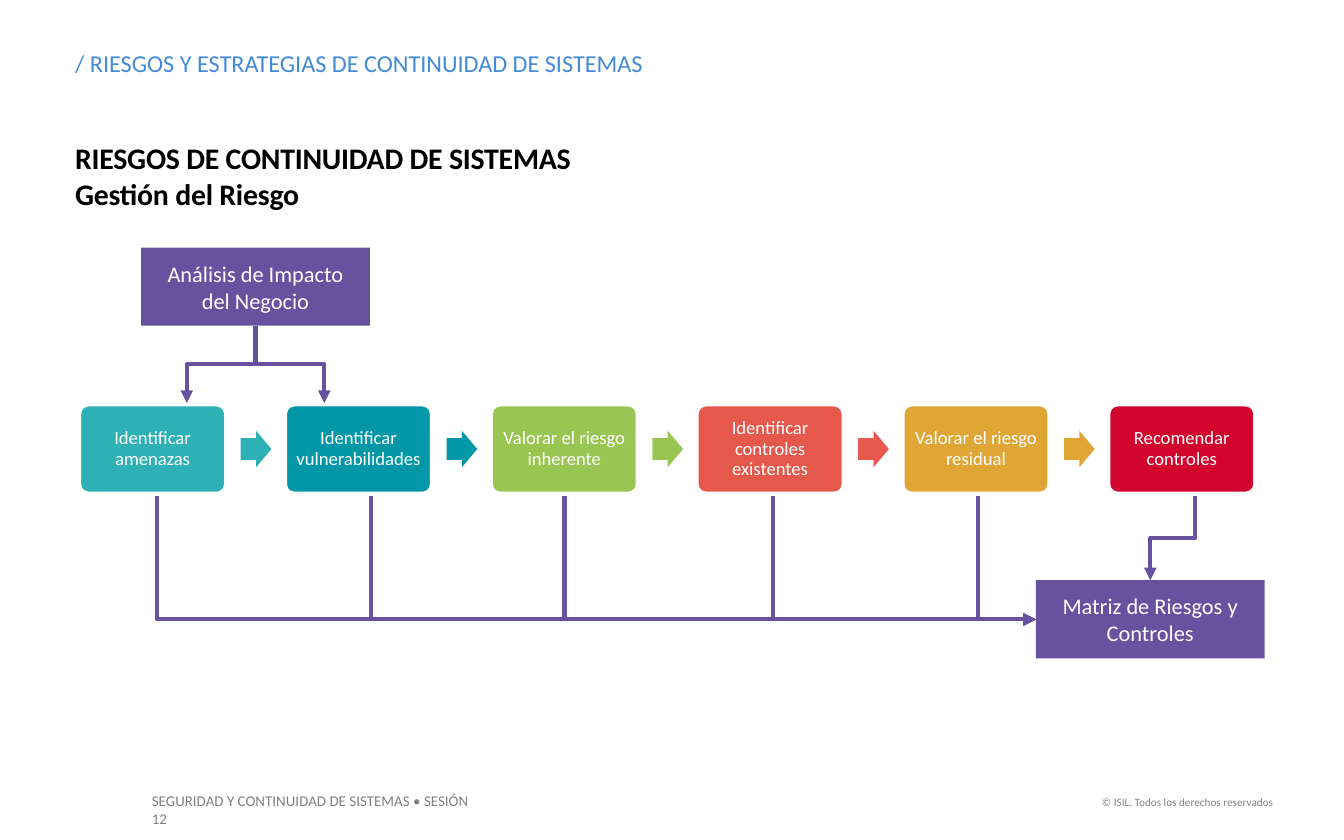
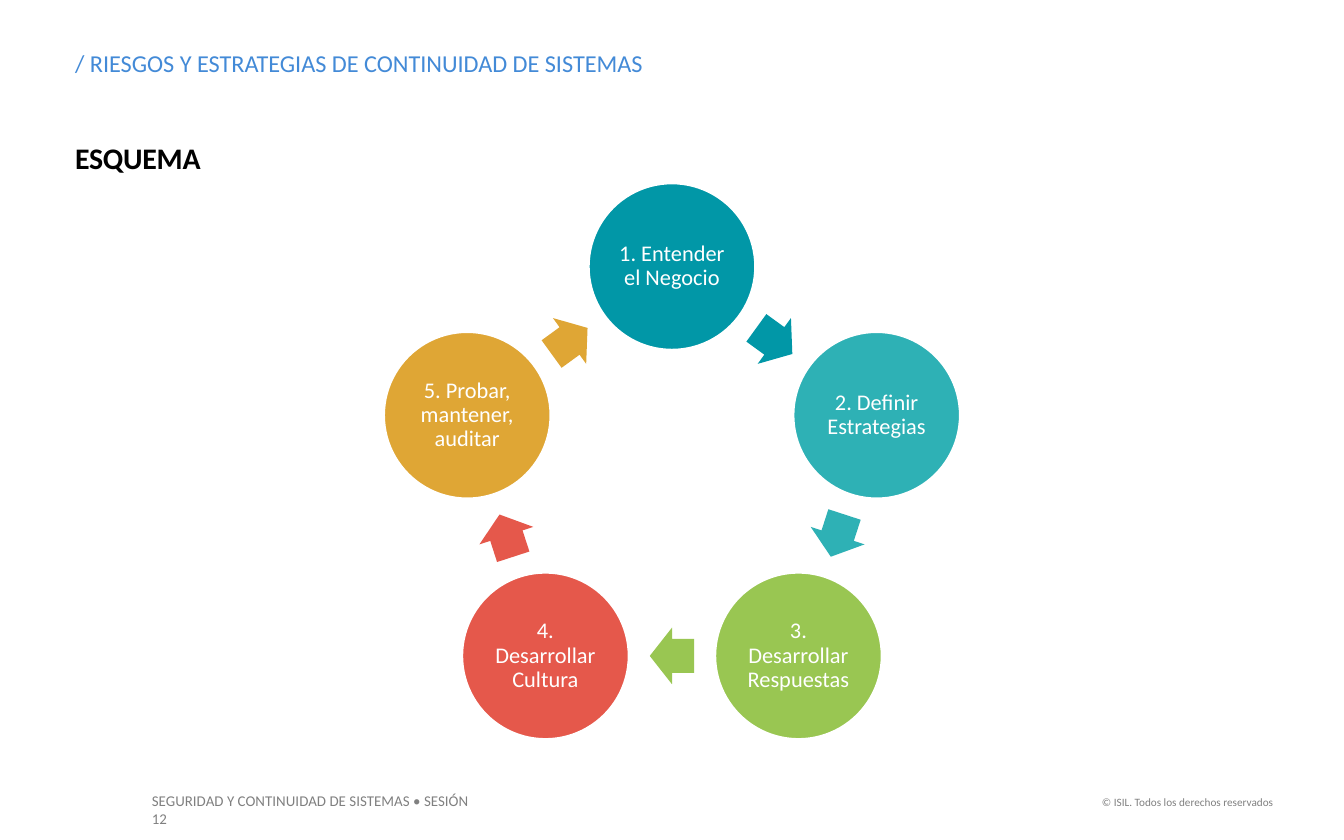
import math

import lxml.etree
import pptx
import pptx.dml.color
import pptx.enum.shapes
import pptx.enum.text
import pptx.oxml.ns
import pptx.util

Cm = pptx.util.Cm
Pt = pptx.util.Pt
SHAPE = pptx.enum.shapes.MSO_SHAPE
ALIGN = pptx.enum.text.PP_ALIGN
ANCHOR = pptx.enum.text.MSO_ANCHOR

FONT = "Calibri"
WHITE, BLACK, GRAY, BLUE = "FFFFFF", "000000", "808080", "438AD7"
PURPLE, AQUA, TEAL, GREEN = "68529F", "2EB1B5", "0197A7", "99C652"
CORAL, GOLD, RED = "E5584B", "DFA635", "D2032C"

SECTION = "/ RIESGOS Y ESTRATEGIAS DE CONTINUIDAD DE SISTEMAS"
COURSE = "SEGURIDAD Y CONTINUIDAD DE SISTEMAS • SESIÓN 12"
RIGHTS = "© ISIL. Todos los derechos reservados"


# Shared helpers; all lengths are centimetres
def color(value):
    return pptx.dml.color.RGBColor.from_string(value)


def write(frame, text, size, ink, align=ALIGN.LEFT, anchor=ANCHOR.TOP,
          margins=(0.25, 0.13), bold=False, spacing=1.0, wrap=True):
    frame.text = text
    frame.word_wrap = wrap
    frame.auto_size = pptx.enum.text.MSO_AUTO_SIZE.NONE
    frame.vertical_anchor = anchor
    frame.margin_left = frame.margin_right = Cm(margins[0])
    frame.margin_top = frame.margin_bottom = Cm(margins[1])
    for paragraph in frame.paragraphs:
        paragraph.alignment = align
        paragraph.line_spacing = spacing
        for run in paragraph.runs:
            run.font.name = FONT
            run.font.size = Pt(size)
            run.font.bold = bold
            run.font.color.rgb = color(ink)


def add_label(slide, box, text, size, ink, **style):
    label = slide.shapes.add_textbox(*map(Cm, box))
    write(label.text_frame, text, size, ink, **style)


def add_block(slide, preset, box, fill, outlined=False, adjustments=()):
    block = slide.shapes.add_shape(preset, *map(Cm, box))
    block.shadow.inherit = False
    block.fill.solid()
    block.fill.fore_color.rgb = color(fill)
    if outlined:
        block.line.color.rgb = color(WHITE)
        block.line.width = Pt(2)
    else:
        block.line.fill.background()
    for index, value in enumerate(adjustments):
        block.adjustments[index] = value
    return block


def add_arrow(slide, box, fill, rotation=0):
    arrow = add_block(slide, SHAPE.RIGHT_ARROW, box, fill, adjustments=(0.6, 0.5))
    arrow.rotation = rotation


def add_elbow(slide, start, end):
    elbow = slide.shapes.add_connector(
        pptx.enum.shapes.MSO_CONNECTOR.ELBOW, *map(Cm, start + end))
    elbow.line.color.rgb = color(PURPLE)
    elbow.line.width = Pt(2.25)
    properties = elbow.element.spPr
    tip = lxml.etree.SubElement(elbow.line._get_or_add_ln(),
                                pptx.oxml.ns.qn("a:tailEnd"))
    tip.set("type", "triangle")
    lxml.etree.SubElement(properties, pptx.oxml.ns.qn("a:effectLst"))
    return properties


def add_step_down(slide, start, end):
    """Elbow that leaves downwards, crosses halfway and arrives downwards."""
    middle_x, middle_y = (start[0] + end[0]) / 2, (start[1] + end[1]) / 2
    half_run, half_drop = abs(end[0] - start[0]) / 2, (end[1] - start[1]) / 2
    to_right = end[0] > start[0]
    reach = half_drop if to_right else -half_drop
    properties = add_elbow(slide, (middle_x + reach, middle_y - half_run),
                           (middle_x - reach, middle_y + half_run))
    properties.xfrm.set("rot", str((270 if to_right else 90) * 60000))


def add_down_then_right(slide, start, end):
    properties = add_elbow(slide, start, end)
    guides = properties.find(pptx.oxml.ns.qn("a:prstGeom")).get_or_add_avLst()
    bend = lxml.etree.SubElement(guides, pptx.oxml.ns.qn("a:gd"))
    bend.set("name", "adj1")
    bend.set("fmla", "val 0")


# Frame common to every slide: section, heading and footers
def add_content_slide(deck, heading, heading_height):
    slide = deck.slides.add_slide(deck.slide_layouts.get_by_name("Title Only"))
    add_label(slide, (2.62, 14.83, 6.7, 0.61), COURSE, 8, GRAY)
    add_label(slide, (20.5, 14.91, 3.81, 0.51), RIGHTS, 6, GRAY,
              align=ALIGN.RIGHT, wrap=False)
    add_label(slide, (1.42, 0.91, 16.76, 0.56), SECTION, 13, BLUE, margins=(0, 0))
    title = slide.shapes.title
    title.left, title.top = Cm(1.42), Cm(2.64)
    title.width, title.height = Cm(22.68), Cm(heading_height)
    write(title.text_frame, heading, 16, BLACK, margins=(0, 0), bold=True)
    for paragraph in title.text_frame.paragraphs:
        for run in paragraph.runs:
            run._r.get_or_add_rPr().set("spc", "-10")
    return slide


# Risk management flow
def add_risk_flow(slide, box):
    left, top, width, height = box
    steps = [("Identificar amenazas", AQUA),
             ("Identificar vulnerabilidades", TEAL),
             ("Valorar el riesgo inherente", GREEN),
             ("Identificar controles existentes", CORAL),
             ("Valorar el riesgo residual", GOLD),
             ("Recomendar controles", RED)]
    step_width, step_height = 2.77, 1.68
    arrow_width, arrow_height = 0.58, 0.69
    step_top = top + 2.97
    pitch = 3.89
    for index, (name, fill) in enumerate(steps):
        x = left + index * pitch
        step = add_block(slide, SHAPE.ROUNDED_RECTANGLE,
                         (x, step_top, step_width, step_height), fill, True, (0.1,))
        write(step.text_frame, name, 10, WHITE, ALIGN.CENTER, ANCHOR.MIDDLE,
              (0.09, 0.09), spacing=0.9)
        if index < len(steps) - 1:
            add_arrow(slide, (x + 3.05, step_top + (step_height - arrow_height) / 2,
                              arrow_width, arrow_height), fill)

    # Input and result of the process
    end_width, end_height = 4.32, 1.48
    impact_left = left + 1.17
    matrix_left, matrix_top = left + width - end_width, top + height - end_height
    for x, y, name in [(impact_left, top, "Análisis de Impacto del Negocio"),
                       (matrix_left, matrix_top, "Matriz de Riesgos y Controles")]:
        stage = add_block(slide, SHAPE.RECTANGLE, (x, y, end_width, end_height), PURPLE)
        write(stage.text_frame, name, 12, WHITE, ALIGN.CENTER, ANCHOR.MIDDLE)

    # Impact analysis feeds the first two steps
    impact_middle = impact_left + end_width / 2
    for shift in (1.3, -1.3):
        add_step_down(slide, (impact_middle, top + end_height),
                      (impact_middle + shift, step_top - 0.03))

    # Every step feeds the matrix
    exit_y = step_top + step_height + 0.05
    for offset in (1.47, 5.51, 9.17, 13.11, 16.99):
        add_down_then_right(slide, (left + offset, exit_y),
                            (matrix_left, matrix_top + end_height / 2))
    add_step_down(slide, (left + 21.08, exit_y),
                  (matrix_left + end_width / 2, matrix_top))


# Continuity cycle
def add_cycle(slide, box):
    left, top, width, height = box
    phases = [("1. Entender el Negocio", TEAL),
              ("2. Definir Estrategias", AQUA),
              ("3. Desarrollar Respuestas", GREEN),
              ("4. Desarrollar Cultura", CORAL),
              ("5. Probar, mantener, auditar", GOLD)]
    diameter, arrow_width, arrow_height = 3.18, 0.84, 1.07
    turn = 360 / len(phases)
    radius = (height - diameter) / (1 + math.cos(math.radians(turn / 2)))
    center_x, center_y = left + width / 2, top + diameter / 2 + radius

    def centered(angle, distance, w, h):
        return (center_x + distance * math.sin(math.radians(angle)) - w / 2,
                center_y - distance * math.cos(math.radians(angle)) - h / 2, w, h)

    for index, (name, fill) in enumerate(phases):
        angle = index * turn
        phase = add_block(slide, SHAPE.OVAL,
                          centered(angle, radius, diameter, diameter), fill, True)
        write(phase.text_frame, name, 12, WHITE, ALIGN.CENTER, ANCHOR.MIDDLE,
              (0.05, 0.05), spacing=0.9)
        between = angle + turn / 2
        midway = radius * math.cos(math.radians(turn / 2))
        add_arrow(slide, centered(between, midway, arrow_width, arrow_height),
                  fill, between)


def main():
    deck = pptx.Presentation()
    deck.slide_width, deck.slide_height = Cm(25.4), Cm(15.88)
    flow = add_content_slide(
        deck, "RIESGOS DE CONTINUIDAD DE SISTEMAS\nGestión del Riesgo", 2.06)
    add_risk_flow(flow, (1.5, 4.68, 22.4, 7.77))
    cycle = add_content_slide(deck, "ESQUEMA", 0.69)
    add_cycle(cycle, (7.24, 3.45, 10.92, 10.54))
    deck.save("out.pptx")


if __name__ == "__main__":
    main()
